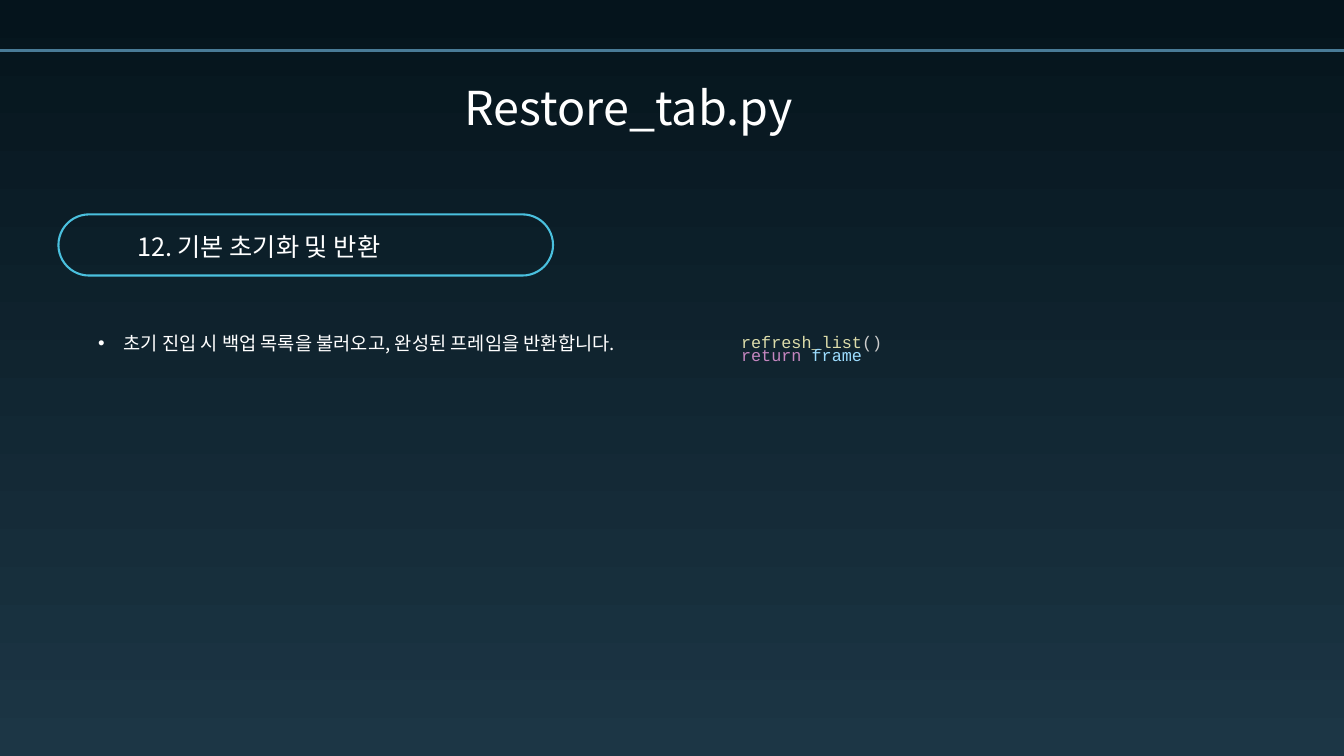
import pptx
import pptx.dml.color
import pptx.enum.shapes
import pptx.enum.text
import pptx.oxml.ns
import pptx.util
from lxml import etree
from pptx.util import Inches

COLORS = {
    "bg_top": "05141C",
    "bg_bottom": "1C3645",
    "rule": "497B97",
    "pill": "4AC0DE",
    "text": "FFFFFF",
    "plain": "CCCCCC",
    "function": "DCDCAA",
    "keyword": "C586C0",
    "variable": "9CDCFE",
}
KR, SC, MONO = "Noto Sans CJK KR", "Noto Sans CJK SC", "Courier New"
INDENT = " " * 4
CODE = [
    [(INDENT, "plain"), ("refresh_list", "function"), ("()", "plain")],
    [(INDENT, "plain"), ("return ", "keyword"), ("frame", "variable")],
]


def rgb(name):
    return pptx.dml.color.RGBColor.from_string(COLORS[name])


def sub(parent, tag, **attrs):
    return etree.SubElement(parent, pptx.oxml.ns.qn(tag), attrs)


def add_text_box(slide, box, inset=0.0):
    tf = slide.shapes.add_textbox(*map(Inches, box)).text_frame
    tf.word_wrap = True
    for side in ("left", "top", "right", "bottom"):
        setattr(tf, "margin_" + side, Inches(inset))
    return tf


def add_runs(p, runs, font, size, spacing):
    """Fill a paragraph with (text, colour name) runs."""
    p.line_spacing = pptx.util.Pt(spacing)
    for text, color in runs:
        r = p.add_run()
        r.text = text
        for key, value in {"name": font, "size": pptx.util.Pt(size)}.items():
            setattr(r.font, key, value)
        r.font.color.rgb = rgb(color)
        sub(r.font._element, "a:ea", typeface=font)


def set_background(slide):
    fill = slide.background.fill
    fill.gradient()
    fill.gradient_angle = 270
    for stop, name in zip(fill.gradient_stops, ("bg_top", "bg_bottom")):
        stop.color.rgb = rgb(name)


def add_rule(slide, left, top, width):
    line = slide.shapes.add_connector(
        pptx.enum.shapes.MSO_CONNECTOR.STRAIGHT,
        Inches(left), Inches(top), Inches(left + width), Inches(top))
    line.line.color.rgb = rgb("rule")
    line.line.width = pptx.util.Pt(3)
    sub(line._element.spPr, "a:effectLst")


def add_title(slide, box, text):
    p = add_text_box(slide, box).paragraphs[0]
    p.alignment = pptx.enum.text.PP_ALIGN.CENTER
    add_runs(p, [(text, "text")], KR, 50, 60)


def add_heading(slide, box, text):
    """Outlined pill with its text set in from the left."""
    left, top, width, height = box
    sp = slide.shapes.add_shape(
        pptx.enum.shapes.MSO_SHAPE.ROUNDED_RECTANGLE, *map(Inches, box))
    sp.adjustments[0] = 0.5
    sp.shadow.inherit = False
    sp.fill.background()
    sp.line.color.rgb = rgb("pill")
    sp.line.width = pptx.util.Pt(2.25)
    tf = add_text_box(slide, (left + 1.17, top + 0.11, width - 1.31, 0.57))
    add_runs(tf.paragraphs[0], [(text, "text")], KR, 27, 43.2)


def add_bullet(slide, box, text):
    p = add_text_box(slide, box).paragraphs[0]
    pPr = p._p.get_or_add_pPr()
    pPr.set("marL", str(Inches(0.38)))
    pPr.set("indent", str(-Inches(0.38)))
    sub(pPr, "a:buFont", typeface="Arial")
    sub(pPr, "a:buChar", char="•")
    add_runs(p, [(text, "text")], SC, 20, 28)


def add_code(slide, box, lines):
    tf = add_text_box(slide, box, 0.1)
    tf.margin_top = tf.margin_bottom = Inches(0.05)
    for i, runs in enumerate(lines):
        p = tf.add_paragraph() if i else tf.paragraphs[0]
        add_runs(p, runs, MONO, 18, 14.2)


def main():
    prs = pptx.Presentation()
    prs.slide_width, prs.slide_height = Inches(20), Inches(11.25)
    slide = prs.slides.add_slide(prs.slide_layouts[6])
    set_background(slide)
    add_rule(slide, 0, 0.75, 20)
    add_title(slide, (1.5, 1.17, 15.71, 0.85), "Restore_tab.py")
    add_bullet(slide, (1.46, 4.88, 8.88, 0.37),
               "초기 진입 시 백업 목록을 불러오고, 완성된 프레임을 반환합니다.")
    add_heading(slide, (0.87, 3.19, 7.36, 0.91), "12. 기본 초기화 및 반환")
    add_code(slide, (10.33, 4.99, 9.67, 0.51), CODE)
    prs.save("out.pptx")


if __name__ == "__main__":
    main()
